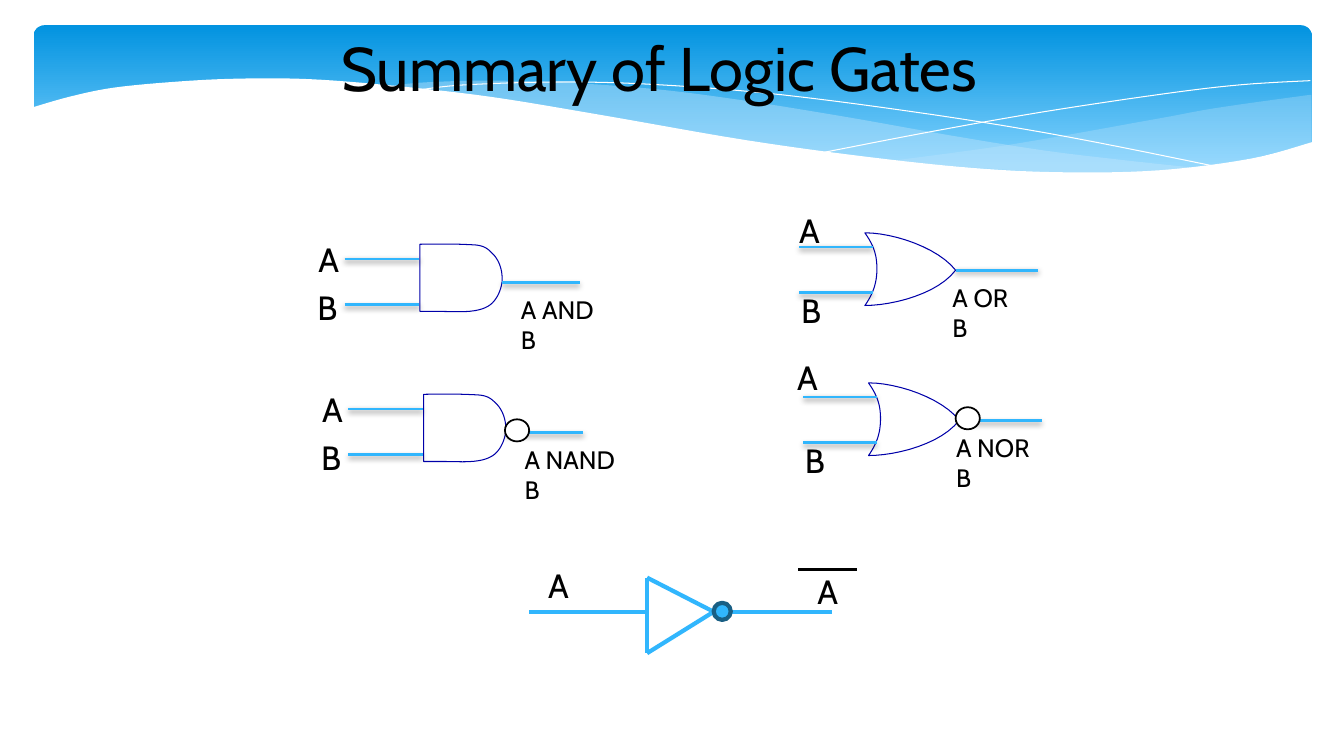
"""Builds a one-slide summary of the logic gates."""
from dataclasses import dataclass
from lxml.etree import SubElement
from pptx import Presentation
from pptx.dml.color import RGBColor
from pptx.enum.shapes import MSO_CONNECTOR, MSO_SHAPE
from pptx.enum.text import MSO_AUTO_SIZE, PP_ALIGN
from pptx.oxml.ns import qn
from pptx.util import Pt


@dataclass
class Theme:
    font: str = "Cabin"
    title: int = 44
    pin: int = 24
    name: int = 18
    ink: str = "000000"
    paper: str = "FFFFFF"
    wire: str = "31B6FD"
    rim: str = "195F84"
    gate: str = "0000A9"
    haze: str = "C6E7FC"
    top: str = "0293E0"
    base: str = "83D3FE"


THEME = Theme()
TITLE = "Summary of Logic Gates"

RIGHT = [(936, 67.7), (869.8, 77), (825.8, 85), (723.6, 103), (635, 115.2)]
RIGHT_LOW = [(635, 115.2), (702.7, 120.2), (771.1, 123.8), (828, 122.4),
             (884.2, 115.2), (936.7, 102.2), (936.7, 67.7)]
MID = [(856.8, 120.2), (803.5, 114.5), (744.5, 107.3), (677.5, 96.5),
       (604.1, 83.5), (532.8, 72), (469.4, 63.8), (403.2, 59),
       (347, 57.6), (301, 59), (275, 61.9)]
MID_LOW = [(275, 61.9), (347.8, 70), (431.3, 83.5), (543.6, 103),
           (624.2, 113.8), (693.4, 121), (763.9, 124.6), (814.3, 123.8),
           (856.8, 120.2)]
WAVE = [(937.4, 101.5), (893, 113.4), (828.7, 121.6), (761.8, 123.1),
        (697.7, 120.2), (621.4, 112.3), (532.8, 100.1), (429.1, 82.1),
        (349.9, 69.1), (280.8, 61.2), (220.3, 56.5), (169.2, 56.2),
        (126.7, 58.3), (81.4, 62.6), (49.7, 69.1), (22.3, 77)]
SWEEPS = [
    [(296.6, 64.8), (329.8, 60.8), (399.6, 58.6), (469.4, 60.5), (558, 67.7),
     (667.4, 82.1), (763.2, 97.9), (871.2, 119.5)],
    [(589, 108.7), (667.4, 93.6), (745.2, 79.9), (831.6, 67), (887, 60.5),
     (936, 57.6)],
]

GATES = {
    "and": {
        "start": (300, 174.5), "line": (300, 222.5),
        "curves": [(313.2, 174.2, 326.5, 174.2, 339.8, 175),
                   (345.6, 175.7, 347.8, 177.1, 351.4, 180.7),
                   (357, 185.8, 359.3, 194.4, 358.6, 201.6),
                   (357.8, 207.4, 355, 213.8, 350.6, 217.4),
                   (347.8, 219.6, 344.2, 221, 339.8, 221.8),
                   (331.9, 223.2, 324, 222.5, 315.4, 222.5)],
        "wires": [(246.2, 299.5, 185), (246.2, 299.5, 217.4),
                  (358.6, 414, 201.6)],
        "b": (219.6, 201.6), "name": (365, 206.6), "bubble": (358.1, 192.3)},
    "or": {
        "start": (617.8, 166.3), "line": (617.8, 166.3),
        "curves": [(625, 176.4, 626.4, 183.6, 626.4, 192.2),
                   (626.4, 202.3, 623.5, 210.2, 617.8, 218.2),
                   (638.6, 218.2, 670.3, 209.5, 682.6, 193),
                   (670.3, 177.1, 638.6, 166.3, 617.8, 166.3)],
        "wires": [(571, 623.5, 176.4), (571, 623.5, 208.8),
                  (682.6, 741.6, 193)],
        "b": (565.2, 203.8), "name": (673.2, 198), "bubble": (680, 183.7)},
}
PLACED = [("and", "A AND B", 76, (220.3, 167), False),
          ("or", "A OR B", 64, (563.8, 146.2), False),
          ("and", "A NAND B", 88, (223, 274.3), True),
          ("or", "A NOR B", 77, (562.3, 251.3), True)]
SHIFT = (2.6, 107.2)
TIP, TOP, LOW = (509.8, 437), (462.2, 412.6), (462.2, 466.6)
NOT_WIRES = [((378, 437), (462.2, 437)), (TOP, LOW), (TOP, TIP), (TIP, LOW),
             ((522, 437), (594, 437))]
NOT_PINS = [(384.5, 400.3), (576.7, 403.9)]
BAR = ((570.2, 406.8), (612, 406.8))

deck = Presentation()
deck.slide_width, deck.slide_height = Pt(960), Pt(540)
slide = deck.slides.add_slide(deck.slide_layouts[6])
shapes = slide.shapes


def bend(a, b, c, d, steps=12):
    """Sample a cubic curve after its first point."""
    spots = [(n / steps, 1 - n / steps) for n in range(1, steps + 1)]
    return [tuple(u**3 * p + 3 * u * u * t * q + 3 * u * t * t * r + t**3 * s
                  for p, q, r, s in zip(a, b, c, d)) for t, u in spots]


def smooth(knots):
    """Draw a soft curve through the knots."""
    ends = [knots[0], *knots, knots[-1]]
    out = [knots[0]]
    for p, a, b, n in zip(ends, ends[1:], ends[2:], ends[3:]):
        lead = tuple(y + (z - x) / 6 for x, y, z in zip(p, a, b))
        tail = tuple(y - (z - x) / 6 for x, y, z in zip(a, b, n))
        out += bend(a, lead, tail, b, 6)
    return out


def paint(shape, fill=None, line=None, width=0, alpha=None):
    shape.shadow.inherit = False
    if fill:
        shape.fill.solid()
        shape.fill.fore_color.rgb = RGBColor.from_string(fill)
        if alpha:
            color = shape.fill._xPr.find(qn("a:solidFill"))[0]
            SubElement(color, qn("a:alpha"), val=str(alpha * 1000))
    else:
        shape.fill.background()
    if line:
        shape.line.color.rgb = RGBColor.from_string(line)
        shape.line.width = Pt(width)
    else:
        shape.line.fill.background()


def trace(dots, close=True, **look):
    dots = [(Pt(x), Pt(y)) for x, y in dots]
    form = shapes.build_freeform(*dots[0], scale=1.0)
    form.add_line_segments(dots[1:], close=close)
    paint(form.convert_to_shape(), **look)


def wire(a, b, color=THEME.wire, width=3, shade=False):
    link = shapes.add_connector(MSO_CONNECTOR.STRAIGHT, *map(Pt, (*a, *b)))
    link.line.color.rgb = RGBColor.from_string(color)
    link.line.width = Pt(width)
    fx = SubElement(link._element.spPr, qn("a:effectLst"))
    if shade:
        drop = SubElement(fx, qn("a:outerShdw"), blurRad=str(Pt(4)),
                          dist=str(Pt(2)), dir="5400000", rotWithShape="0")
        tint = SubElement(drop, qn("a:srgbClr"), val=THEME.ink)
        SubElement(tint, qn("a:alpha"), val="38000")


def disc(x, y, w, h, **look):
    paint(shapes.add_shape(MSO_SHAPE.OVAL, *map(Pt, (x, y, w, h))), **look)


def label(text, spot, size=THEME.pin, w=29.5, h=36, align=PP_ALIGN.LEFT):
    frame = shapes.add_textbox(*map(Pt, (*spot, w, h))).text_frame
    frame.word_wrap = True
    frame.auto_size = MSO_AUTO_SIZE.SHAPE_TO_FIT_TEXT
    frame.text = text
    para = frame.paragraphs[0]
    para.alignment = align
    font = para.runs[0].font
    font.name, font.size = THEME.font, Pt(size)
    font.color.rgb = RGBColor.from_string(THEME.ink)


def banner():
    band = shapes.add_shape(MSO_SHAPE.ROUNDED_RECTANGLE,
                            *map(Pt, (24, 18, 913, 112.3)))
    band.adjustments[0] = 0.07
    paint(band)
    band.fill.gradient()
    band.fill.gradient_angle = 270
    tones = [(0, THEME.top), (0.9, THEME.base)]
    for stop, (place, tone) in zip(band.fill.gradient_stops, tones):
        stop.position, stop.color.rgb = place, RGBColor.from_string(tone)
    trace(smooth(RIGHT) + smooth(RIGHT_LOW[:-1]) + RIGHT_LOW[-1:],
          fill=THEME.haze, alpha=29)
    trace(smooth(MID) + smooth(MID_LOW), fill=THEME.haze, alpha=40)
    for sweep in SWEEPS:
        trace(smooth(sweep), close=False, line=THEME.paper)
    trace(smooth(WAVE) + [(22.3, 161.3), (938.2, 161.3), (938.2, 101)],
          fill=THEME.paper)
    label(TITLE, (131.8, 18), THEME.title, 678.2, 60.5, PP_ALIGN.CENTER)


def gate(kind, name, width, pin, negate):
    part = GATES[kind]
    dx, dy = SHIFT if negate else (0, 0)

    def move(x, y):
        return x + dx, y + dy

    dots = [part["start"]]
    for x1, y1, x2, y2, x3, y3 in part["curves"]:
        dots += bend(dots[-1], (x1, y1), (x2, y2), (x3, y3))
    trace([move(*dot) for dot in dots + [part["line"]]], line=THEME.gate)
    for left, right, y in part["wires"]:
        wire(move(left, y), move(right, y), width=2, shade=True)
    label("A", pin)
    label("B", move(*part["b"]))
    label(name, move(*part["name"]), THEME.name, width, 29)
    if negate:
        disc(*move(*part["bubble"]), 17.3, 15.8,
             fill=THEME.paper, line=THEME.ink, width=1.25)


banner()
for item in PLACED:
    gate(*item)
for ends in NOT_WIRES:
    wire(*ends)
disc(509.8, 430.6, 12.2, 12.2, fill=THEME.wire, line=THEME.rim, width=3)
for spot in NOT_PINS:
    label("A", spot)
wire(*BAR, color=THEME.ink, width=2.25)
deck.save("out.pptx")
